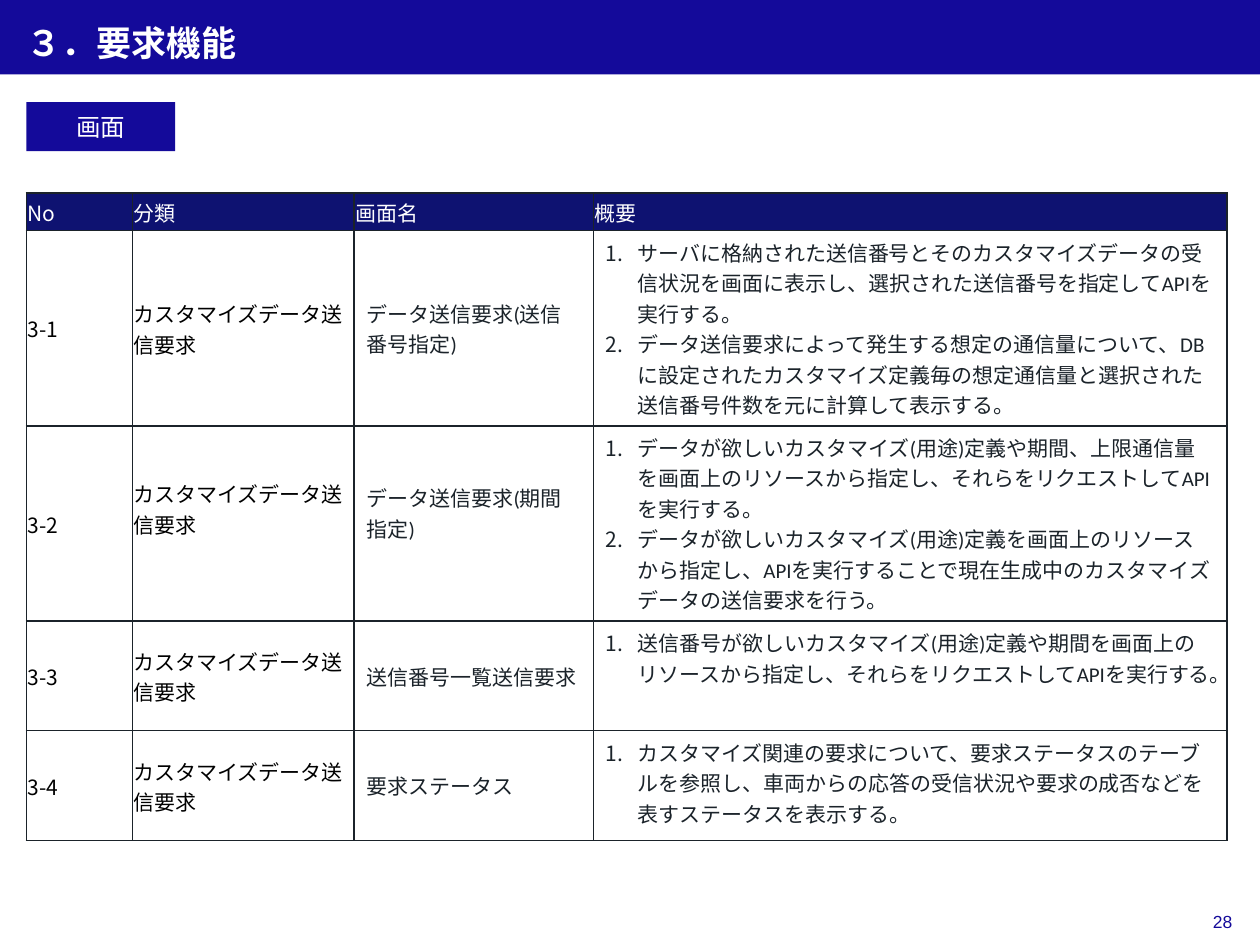
from lxml.etree import SubElement
from pptx import Presentation
from pptx.dml.color import RGBColor
from pptx.enum.shapes import MSO_CONNECTOR, MSO_SHAPE
from pptx.enum.text import MSO_ANCHOR, PP_ALIGN
from pptx.oxml.ns import qn
from pptx.util import Inches, Pt

COLORS = {"blue": "140A9A", "navy": "0E1271", "ink": "1B232A", "black": "000000", "white": "FFFFFF"}
CJK = "Noto Sans CJK JP"


def add_text(para, text, size, font, color, bold=False):
    span = para.add_run()
    span.text = text
    span.font.size = Pt(size)
    span.font.name = font
    span.font.bold = bold
    span.font.color.rgb = RGBColor.from_string(COLORS[color])
    if font != "Arial":
        span.font._element.find(qn("a:latin")).addnext(
            span.font._element.makeelement(qn("a:ea"), {"typeface": CJK}))


def set_margins(target, left, top, right, bottom):
    target.margin_left = Inches(left)
    target.margin_top = Inches(top)
    target.margin_right = Inches(right)
    target.margin_bottom = Inches(bottom)


deck = Presentation()
deck.slide_width = Inches(10)
deck.slide_height = Inches(7.5)
page = deck.slides.add_slide(deck.slide_layouts[6])

rule = page.shapes.add_connector(MSO_CONNECTOR.STRAIGHT, Inches(0), Inches(0.56), Inches(10), Inches(0.56))
rule.line.color.rgb = RGBColor.from_string(COLORS["blue"])
rule.line.width = Pt(0.5)
SubElement(rule._element.spPr, qn("a:effectLst"))

bars = []
for left, top, width, height in [(0, 0, 10, 0.59), (0.21, 0.81, 1.18, 0.39)]:
    bar = page.shapes.add_shape(MSO_SHAPE.RECTANGLE, Inches(left), Inches(top), Inches(width), Inches(height))
    bar.shadow.inherit = False
    bar.fill.solid()
    bar.fill.fore_color.rgb = RGBColor.from_string(COLORS["blue"])
    bar.line.fill.background()
    bars.append(bar)

label = bars[1].text_frame
label.word_wrap = False
label.vertical_anchor = MSO_ANCHOR.MIDDLE
label.paragraphs[0].alignment = PP_ALIGN.CENTER
add_text(label.paragraphs[0], "画面", 14, "Calibri", "white")

title = page.shapes.add_textbox(Inches(0.21), Inches(0.14), Inches(9.57), Inches(0.43)).text_frame
title.word_wrap = True
title.vertical_anchor = MSO_ANCHOR.MIDDLE
set_margins(title, 0, 0.05, 0.1, 0.05)
title.paragraphs[0].line_spacing = 0.9
add_text(title.paragraphs[0], "３．要求機能", 20, "Arial", "white", True)

number = page.shapes.add_textbox(Inches(9.18), Inches(7.18), Inches(0.6), Inches(0.27)).text_frame
number.word_wrap = True
set_margins(number, 0, 0.05, 0, 0.05)
number.paragraphs[0].alignment = PP_ALIGN.RIGHT
add_text(number.paragraphs[0], "28", 10, "Arial", "blue")

category = "カスタマイズデータ送信要求"
rows = [
    ("No", "分類", "画面名", ["概要"]),
    ("3-1", category, "データ送信要求(送信番号指定)", [
        "サーバに格納された送信番号とそのカスタマイズデータの受信状況を画面に表示し、選択された送信番号を指定してAPIを実行する。",
        "データ送信要求によって発生する想定の通信量について、DBに設定されたカスタマイズ定義毎の想定通信量と選択された送信番号件数を元に計算して表示する。"]),
    ("3-2", category, "データ送信要求(期間指定)", [
        "データが欲しいカスタマイズ(用途)定義や期間、上限通信量を画面上のリソースから指定し、それらをリクエストしてAPIを実行する。",
        "データが欲しいカスタマイズ(用途)定義を画面上のリソースから指定し、APIを実行することで現在生成中のカスタマイズデータの送信要求を行う。"]),
    ("3-3", category, "送信番号一覧送信要求", [
        "送信番号が欲しいカスタマイズ(用途)定義や期間を画面上のリソースから指定し、それらをリクエストしてAPIを実行する。"]),
    ("3-4", category, "要求ステータス", [
        "カスタマイズ関連の要求について、要求ステータスのテーブルを参照し、車両からの応答の受信状況や要求の成否などを表すステータスを表示する。"]),
]
raised_bottoms = {(2, 1): 0.24, (2, 2): 0.22}

table = page.shapes.add_table(5, 4, Inches(0.21), Inches(1.53), Inches(9.53), Inches(5.14)).table
table.first_row = False
table.horz_banding = False
for column, width in zip(table.columns, [0.84, 1.76, 1.9, 5.03]):
    column.width = Inches(width)
for row, height in zip(table.rows, [0.3, 1.55, 1.55, 0.87, 0.87]):
    row.height = Inches(height)

for row_index, row in enumerate(rows):
    for column_index, content in enumerate(row):
        cell = table.cell(row_index, column_index)
        properties = cell._tc.get_or_add_tcPr()
        for side in ["lnL", "lnR", "lnT", "lnB"]:
            border = SubElement(properties, qn(f"a:{side}"), w=str(Pt(1)))
            SubElement(SubElement(border, qn("a:solidFill")), qn("a:srgbClr"), val=COLORS["ink"])
        header = row_index == 0
        tight = header or column_index < 2
        if header:
            cell.fill.solid()
            cell.fill.fore_color.rgb = RGBColor.from_string(COLORS["navy"])
        else:
            cell.fill.background()
        margins = (0.01, 0.01, 0.01, 0) if tight else (0.1, 0.05, 0.1, 0.05)
        bottom = raised_bottoms.get((row_index, column_index), margins[3])
        set_margins(cell, *margins[:3], bottom)
        numbered = not header and column_index == 3
        cell.vertical_anchor = MSO_ANCHOR.TOP if numbered else MSO_ANCHOR.MIDDLE
        font = CJK if tight else "Calibri"
        color = "white" if header else "black" if tight else "ink"
        for index, text in enumerate(content if column_index == 3 else [content]):
            para = cell.text_frame.add_paragraph() if index else cell.text_frame.paragraphs[0]
            if numbered:
                paragraph_properties = para._p.get_or_add_pPr()
                paragraph_properties.set("marL", str(Inches(0.25)))
                paragraph_properties.set("indent", str(-Inches(0.25)))
                SubElement(paragraph_properties, qn("a:buFont"), typeface="+mj-lt")
                SubElement(paragraph_properties, qn("a:buAutoNum"), type="arabicPeriod")
            add_text(para, text, 12, font, color)

deck.save("out.pptx")
